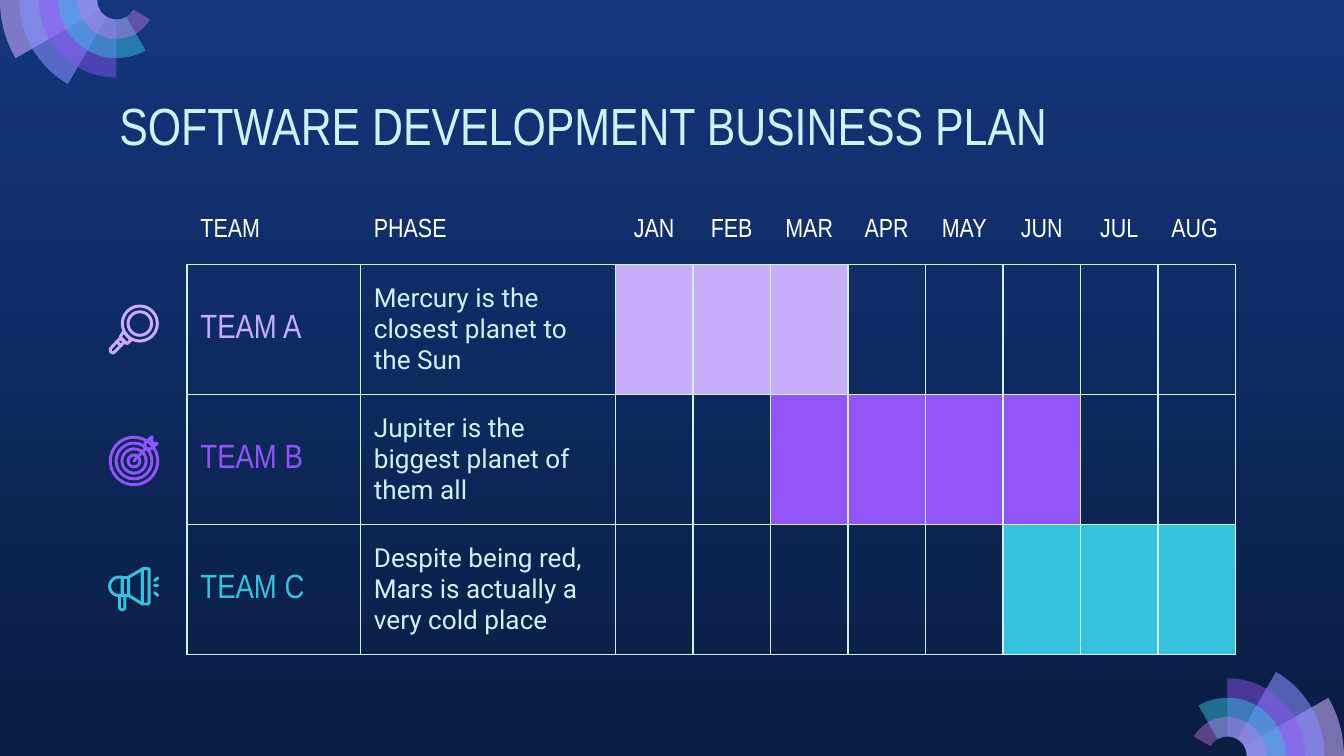
from dataclasses import dataclass
from math import cos, radians, sin

from lxml.etree import SubElement
from pptx import Presentation
from pptx.dml.color import RGBColor
from pptx.enum.shapes import MSO_CONNECTOR, MSO_SHAPE
from pptx.enum.text import MSO_ANCHOR, MSO_AUTO_SIZE, PP_ALIGN
from pptx.oxml.ns import qn
from pptx.util import Pt


@dataclass(frozen=True)
class Theme:
    top: str = "13367C"
    bottom: str = "0A1D42"
    ice: str = "CEF3F5"
    white: str = "FFFFFF"
    lilac: str = "C8AEF8"
    violet: str = "9154F8"
    cyan: str = "35C2DF"
    petal_lilac: str = "C8ACFD"
    petal_blue: str = "878FFF"
    petal_pink: str = "CA7BEB"
    heading_font: str = "Arial Narrow"
    body_font: str = "Roboto"
    title_size: int = 28
    team_size: int = 18
    text_size: int = 14
    border: float = 0.75
    icon_line: float = 1.6
    inset: float = 7.2


def arc(center, radius, start, end, steps=24):
    """Points along an arc, with angles counted anticlockwise in degrees."""
    angles = [radians(start + (end - start) * i / steps) for i in range(steps + 1)]
    return [(center[0] + radius * cos(a), center[1] - radius * sin(a)) for a in angles]


class SlideBuilder:
    def __init__(self, slide, theme):
        self.slide = slide
        self.theme = theme
        self.shapes = slide.shapes

    def background(self):
        fill = self.slide.background.fill
        fill.gradient()
        fill.gradient_angle = 270
        for stop, color in zip(fill.gradient_stops, (self.theme.top, self.theme.bottom)):
            stop.color.rgb = RGBColor.from_string(color)

    def set_text(self, holder, frame, text, size, color, font, align=PP_ALIGN.LEFT):
        holder.margin_left = holder.margin_right = Pt(self.theme.inset)
        holder.margin_top = holder.margin_bottom = Pt(self.theme.inset)
        paragraph = frame.paragraphs[0]
        paragraph.text = text
        paragraph.alignment = align
        paragraph.font.size = Pt(size)
        paragraph.font.name = font
        paragraph.font.color.rgb = RGBColor.from_string(color)

    def title(self, text, left, top, width, height):
        shape = self.shapes.title
        shape.left, shape.top, shape.width, shape.height = map(Pt, (left, top, width, height))
        frame = shape.text_frame
        frame.word_wrap = True
        frame.auto_size = MSO_AUTO_SIZE.NONE
        frame.vertical_anchor = MSO_ANCHOR.TOP
        self.set_text(frame, frame, text, self.theme.title_size, self.theme.ice,
                      self.theme.heading_font)

    def polygon(self, points):
        scaled = [(Pt(x), Pt(y)) for x, y in points]
        builder = self.shapes.build_freeform(*scaled[0])
        builder.add_line_segments(scaled[1:], close=True)
        shape = builder.convert_to_shape()
        shape.shadow.inherit = False
        return shape

    def petal(self, points, color, opacity):
        shape = self.polygon(points)
        shape.fill.solid()
        shape.fill.fore_color.rgb = RGBColor.from_string(color)
        shape.line.fill.background()
        color_element = shape._element.spPr.find(qn("a:solidFill"))[0]
        SubElement(color_element, qn("a:alpha"), val=str(opacity * 1000))

    def stroke(self, shape, color):
        shape.line.width = Pt(self.theme.icon_line)
        shape.line.color.rgb = RGBColor.from_string(color)
        line = shape._element.spPr.find(qn("a:ln"))
        line.set("cap", "rnd")
        SubElement(line, qn("a:round"))

    def outline(self, origin, points, color):
        shape = self.polygon([(origin[0] + x, origin[1] + y) for x, y in points])
        shape.fill.background()
        self.stroke(shape, color)

    def ring(self, origin, center, radius, color):
        left, top = (o + c - radius for o, c in zip(origin, center))
        shape = self.shapes.add_shape(
            MSO_SHAPE.OVAL, Pt(left), Pt(top), Pt(2 * radius), Pt(2 * radius))
        shape.shadow.inherit = False
        shape.fill.background()
        self.stroke(shape, color)

    def line(self, origin, start, end, color):
        ends = [Pt(o + p) for point in (start, end) for o, p in zip(origin, point)]
        connector = self.shapes.add_connector(MSO_CONNECTOR.STRAIGHT, *ends)
        self.stroke(connector, color)
        SubElement(connector._element.spPr, qn("a:effectLst"))

    def table(self, left, top, widths, heights):
        frame = self.shapes.add_table(
            len(heights), len(widths), Pt(left), Pt(top), Pt(sum(widths)), Pt(sum(heights)))
        table = frame.table
        table.first_row = table.horz_banding = False
        for column, width in zip(table.columns, widths):
            column.width = Pt(width)
        for row, height in zip(table.rows, heights):
            row.height = Pt(height)
        return table

    def cell(self, cell, sides, fill=None):
        properties = cell._tc.get_or_add_tcPr()
        for side in "LRTB":
            line = SubElement(properties, qn(f"a:ln{side}"), w=str(Pt(self.theme.border)))
            if side in sides:
                solid = SubElement(line, qn("a:solidFill"))
                SubElement(solid, qn("a:srgbClr"), val=self.theme.ice)
            else:
                SubElement(line, qn("a:noFill"))
        if fill:
            cell.fill.solid()
            cell.fill.fore_color.rgb = RGBColor.from_string(fill)
        else:
            cell.fill.background()

    def cell_text(self, cell, text, size, color, font, align=PP_ALIGN.LEFT,
                  anchor=MSO_ANCHOR.MIDDLE):
        self.set_text(cell, cell.text_frame, text, size, color, font, align)
        cell.vertical_anchor = anchor


def draw_magnifier(builder, origin, color):
    for radius in (9.4, 6.3):
        builder.ring(origin, (3.2, -3.2), radius, color)
    collar = [(-5.5, 1.1), (-1.5, 5.8), (-3.7, 7.6), (-7.3, 4)]
    neck = [(-7.3, 4.7), (-5.1, 6.8), (-6.9, 8.6), (-9.1, 6.5)]
    grip = [(-9.1, 6.5), (-6.9, 8.6), (-10.9, 12.6), (-12.3, 12.2), (-12.7, 10.4)]
    for part in (collar, neck, grip):
        builder.outline(origin, part, color)


def draw_target(builder, origin, color):
    center = (0.1, 0.8)
    for radius in (12.7, 9.6, 6.5, 3.2):
        builder.ring(origin, center, radius, color)
    builder.line(origin, center, (6.1, -5.7), color)
    feather = [(6.1, -9), (9.7, -12.2), (9.7, -8.6), (12.5, -8.6), (9.3, -5.7), (6.1, -5.7)]
    builder.outline(origin, feather, color)


def draw_megaphone(builder, origin, color):
    rim = [(4.6, -11.2), (7.6, -11.2), (8.2, -10.6), (8.2, 7.2), (7.6, 7.8), (4.6, 7.8)]
    cone = [(-2.8, -6.6), (4.6, -10.9), (4.6, 7.8), (-2.8, 3.2)]
    band = [(-6.2, -6.6), (-2.8, -6.6), (-2.8, 3.2), (-6.2, 3.2)]
    back = [(-6.2, -6.6), *arc((-8, -1.7), 4.9, 90, 270), (-6.2, 3.2)]
    handle = [(-7.6, 3.2), *arc((-6.2, 9.5), 1.4, 180, 360), (-4.8, 3.2)]
    for part in (rim, cone, band, back, handle):
        builder.outline(origin, part, color)
    for start, end in (((11.1, -4.8), (12.9, -6.2)), ((11.2, -1.9), (12.7, -1.9)),
                       ((11.1, 1.7), (12.9, 3.2))):
        builder.line(origin, start, end, color)


def main():
    theme = Theme()
    presentation = Presentation()
    presentation.slide_width, presentation.slide_height = Pt(720), Pt(405)
    slide = presentation.slides.add_slide(presentation.slide_layouts[5])
    builder = SlideBuilder(slide, theme)
    builder.background()

    # Corner fans: each smaller petal opens 30 degrees wider
    ring = 10.4
    petals = [(theme.petal_lilac, 58), (theme.petal_blue, 58), (theme.violet, 46),
              (theme.cyan, 49), (theme.petal_pink, 42)]
    for center, turn in (((720 - 6 * ring, 405), 0), ((6 * ring, 0), 180)):
        for i, (color, opacity) in enumerate(petals):
            sweep = turn + 30 * (i + 1)
            points = arc(center, (6 - i) * ring, turn, sweep) + arc(center, ring, sweep, turn)
            builder.petal(points, color, opacity)

    builder.title("SOFTWARE DEVELOPMENT BUSINESS PLAN", 56.7, 42.5, 607, 45.1)

    # Schedule: heading row, then one row per team
    months = ["JAN", "FEB", "MAR", "APR", "MAY", "JUN", "JUL", "AUG"]
    teams = [
        ("TEAM A", "Mercury is the closest planet to the Sun", theme.lilac, "JAN", "MAR", draw_magnifier),
        ("TEAM B", "Jupiter is the biggest planet of them all", theme.violet, "MAR", "JUN", draw_target),
        ("TEAM C", "Despite being red, Mars is actually a very cold place", theme.cyan, "JUN", "AUG",
         draw_megaphone),
    ]
    top, header_height, row_height = 110.1, 31.6, 69.65
    table = builder.table(100.2, top, [92.9, 136.6] + [41.55] * len(months),
                          [header_height] + [row_height] * len(teams))
    for column, text in enumerate(["TEAM", "PHASE"] + months):
        cell = table.cell(0, column)
        align = PP_ALIGN.CENTER if text in months[:-1] else PP_ALIGN.LEFT
        builder.cell(cell, "B")
        builder.cell_text(cell, text, theme.text_size, theme.white, theme.heading_font, align,
                          MSO_ANCHOR.TOP)

    for row, (team, phase, color, first, last, draw_icon) in enumerate(teams, 1):
        active = range(months.index(first) + 2, months.index(last) + 3)
        for column in range(len(months) + 2):
            builder.cell(table.cell(row, column), "LRTB", color if column in active else None)
        builder.cell_text(table.cell(row, 0), team, theme.team_size, color, theme.heading_font)
        builder.cell_text(table.cell(row, 1), phase, theme.text_size, theme.ice, theme.body_font)
        draw_icon(builder, (71.7, top + header_height + (row - 0.5) * row_height), color)

    presentation.save("out.pptx")


if __name__ == "__main__":
    main()
